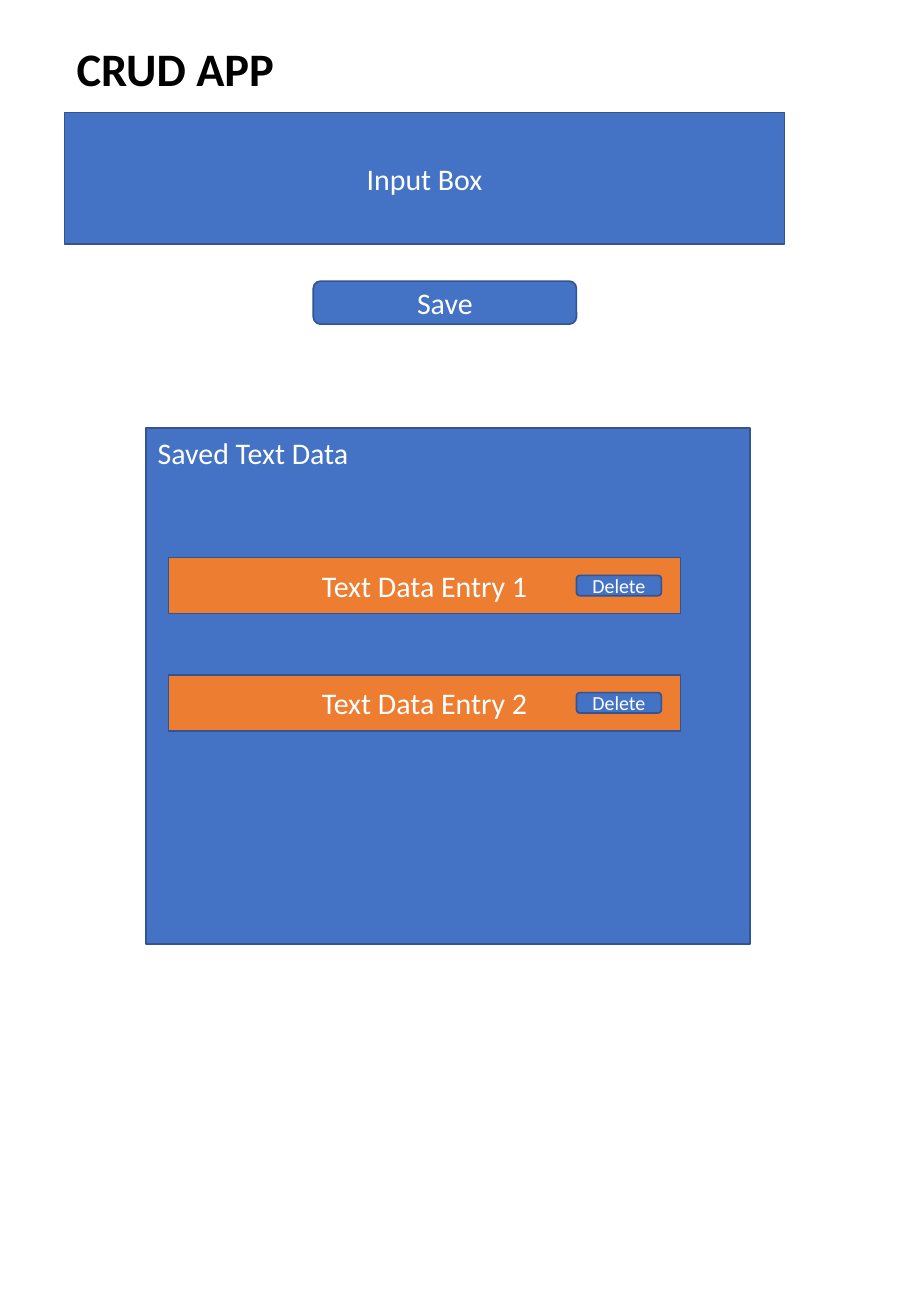
from pptx import Presentation
from pptx.dml.color import RGBColor
from pptx.enum.shapes import MSO_SHAPE as Shape
from pptx.enum.text import MSO_ANCHOR as Anchor, MSO_AUTO_SIZE as AutoSize, PP_ALIGN as Align
from pptx.util import Emu, Pt

PX = 9144
FONT = "Calibri"
BLUE = RGBColor(0x44, 0x72, 0xC4)
NAVY = RGBColor(0x32, 0x54, 0x91)
ORANGE = RGBColor(0xED, 0x7D, 0x31)
WHITE = RGBColor(0xFF, 0xFF, 0xFF)
BLACK = RGBColor(0x00, 0x00, 0x00)


def px(length):
    return Emu(length * PX)


def write(shape, text, size, color, align, anchor, bold=False):
    frame = shape.text_frame
    frame.text = text
    frame.word_wrap = True
    frame.vertical_anchor = anchor
    para = frame.paragraphs[0]
    para.alignment = align
    font = para.runs[0].font
    font.name, font.size, font.bold = FONT, Pt(size), bold
    font.color.rgb = color


def add_box(page, box, text, kind=Shape.RECTANGLE, fill=BLUE, size=18,
            align=Align.CENTER, anchor=Anchor.MIDDLE):
    shape = page.shapes.add_shape(kind, *map(px, box))
    shape.shadow.inherit = False
    shape.fill.solid()
    shape.fill.fore_color.rgb = fill
    shape.line.color.rgb = NAVY
    shape.line.width = Pt(1)
    write(shape, text, size, WHITE, align, anchor)


def add_title(page, box, text):
    title = page.shapes.title
    title.left, title.top, title.width, title.height = map(px, box)
    write(title, text, 28, BLACK, Align.LEFT, Anchor.TOP, bold=True)
    title.text_frame.auto_size = AutoSize.NONE


def add_input_form(page, box):
    left, top, width, height = box
    add_box(page, (left, top, width, 110), "Input Box")
    add_box(page, (left + 208, top + height - 36, 220, 36), "Save", Shape.ROUNDED_RECTANGLE)


def add_entry(page, box, text):
    left, top, width, height = box
    add_box(page, box, text, fill=ORANGE)
    add_box(page, (left + width - 87, top + 15, 71, 17), "Delete",
            Shape.ROUNDED_RECTANGLE, size=12)


def add_saved_panel(page, box, entries):
    left, top, width, height = box
    add_box(page, box, "Saved Text Data", align=Align.LEFT, anchor=Anchor.TOP)
    for row, entry in enumerate(entries):
        add_entry(page, (left + 19, top + 108 + 98 * row, 428, 47), entry)


def main():
    deck = Presentation()
    deck.slide_width, deck.slide_height = px(750), px(1100)
    page = deck.slides.add_slide(deck.slide_layouts[5])
    add_title(page, (54, 28, 614, 57), "CRUD APP")
    add_input_form(page, (54, 94, 602, 177))
    add_saved_panel(page, (122, 358, 505, 431), ["Text Data Entry 1", "Text Data Entry 2"])
    deck.save("out.pptx")


if __name__ == "__main__":
    main()
